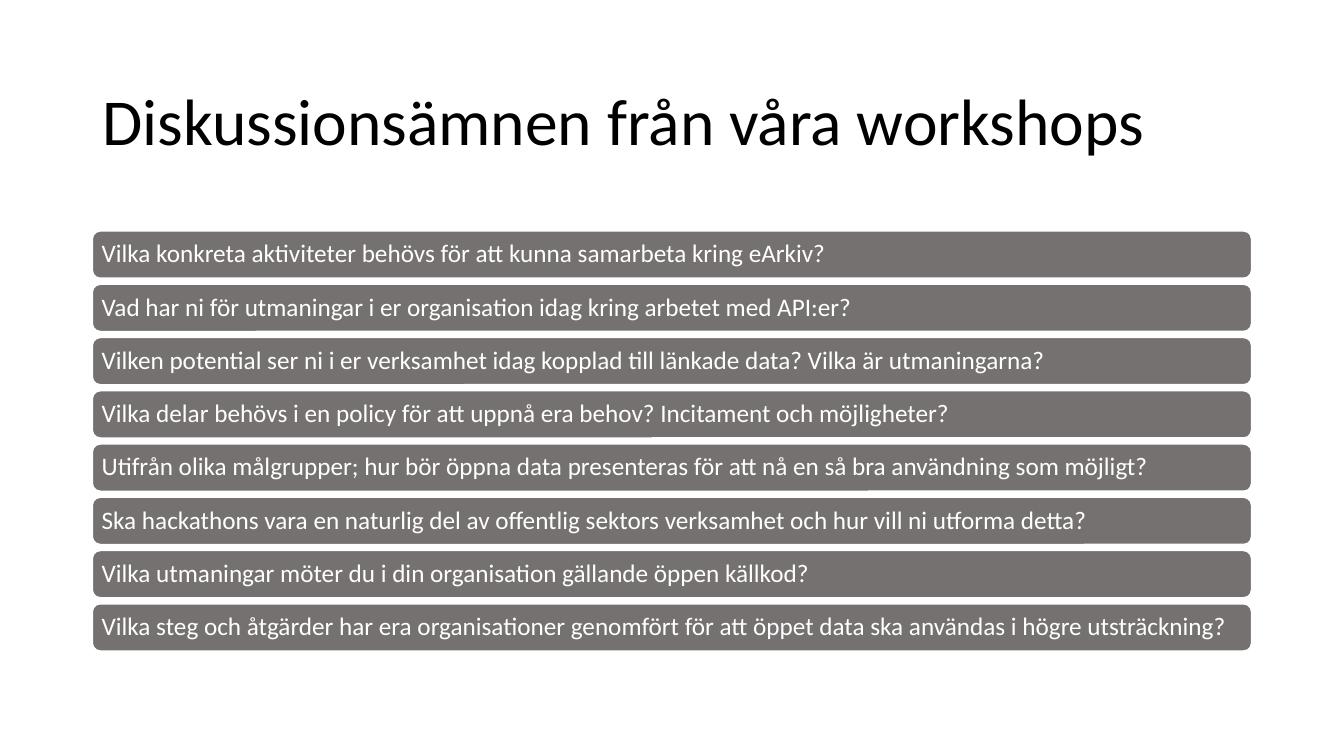
from pptx import Presentation
from pptx.dml.color import RGBColor
from pptx.enum.shapes import MSO_SHAPE
from pptx.enum.text import MSO_ANCHOR, PP_ALIGN
from pptx.util import Pt

ROUNDED = MSO_SHAPE.ROUNDED_RECTANGLE
MIDDLE = MSO_ANCHOR.MIDDLE
LEFT = PP_ALIGN.LEFT

BLACK = RGBColor(0x00, 0x00, 0x00)
WHITE = RGBColor(0xFF, 0xFF, 0xFF)
GRAY = RGBColor(0x76, 0x71, 0x71)

BAR_HEIGHT = 33.7
BAR_INSET = 5

TITLE = "Diskussionsämnen från våra workshops"
QUESTIONS = [
    "Vilka konkreta aktiviteter behövs för att kunna samarbeta kring eArkiv?",
    "Vad har ni för utmaningar i er organisation idag kring arbetet med API:er?",
    "Vilken potential ser ni i er verksamhet idag kopplad till länkade data? Vilka är utmaningarna?",
    "Vilka delar behövs i en policy för att uppnå era behov? Incitament och möjligheter?",
    "Utifrån olika målgrupper; hur bör öppna data presenteras för att nå en så bra användning som möjligt?",
    "Ska hackathons vara en naturlig del av offentlig sektors verksamhet och hur vill ni utforma detta?",
    "Vilka utmaningar möter du i din organisation gällande öppen källkod?",
    "Vilka steg och åtgärder har era organisationer genomfört för att öppet data ska användas i högre utsträckning?",
]


def write_text(shape, text, size, color):
    frame = shape.text_frame
    frame.word_wrap = True
    frame.vertical_anchor = MIDDLE
    paragraph = frame.paragraphs[0]
    paragraph.text = text
    paragraph.alignment = LEFT
    paragraph.line_spacing = 0.9
    paragraph.font.name = "Calibri"
    paragraph.font.size = Pt(size)
    paragraph.font.color.rgb = color


def add_title(slide, left, top, width, height):
    box = slide.shapes.add_textbox(Pt(left), Pt(top), Pt(width), Pt(height))
    write_text(box, TITLE, 46.8, BLACK)


def add_question_bars(slide, left, top, width, height):
    """Spread one bar per question evenly over the height of the box."""
    pitch = (height - BAR_HEIGHT) / (len(QUESTIONS) - 1)
    for index, question in enumerate(QUESTIONS):
        bar = slide.shapes.add_shape(
            ROUNDED, Pt(left), Pt(top + index * pitch), Pt(width), Pt(BAR_HEIGHT))
        bar.shadow.inherit = False
        bar.fill.solid()
        bar.fill.fore_color.rgb = GRAY
        bar.line.color.rgb = WHITE
        bar.line.width = Pt(1)
        frame = bar.text_frame
        frame.margin_left = frame.margin_right = Pt(BAR_INSET)
        frame.margin_top = frame.margin_bottom = Pt(BAR_INSET)
        write_text(bar, question, 18, WHITE)


def main():
    presentation = Presentation()
    presentation.slide_width = Pt(960)
    presentation.slide_height = Pt(540)
    slide = presentation.slides.add_slide(presentation.slide_layouts[6])
    add_title(slide, 66, 44, 828, 89)
    add_question_bars(slide, 66, 165, 828, 300)
    presentation.save("out.pptx")


if __name__ == "__main__":
    main()
